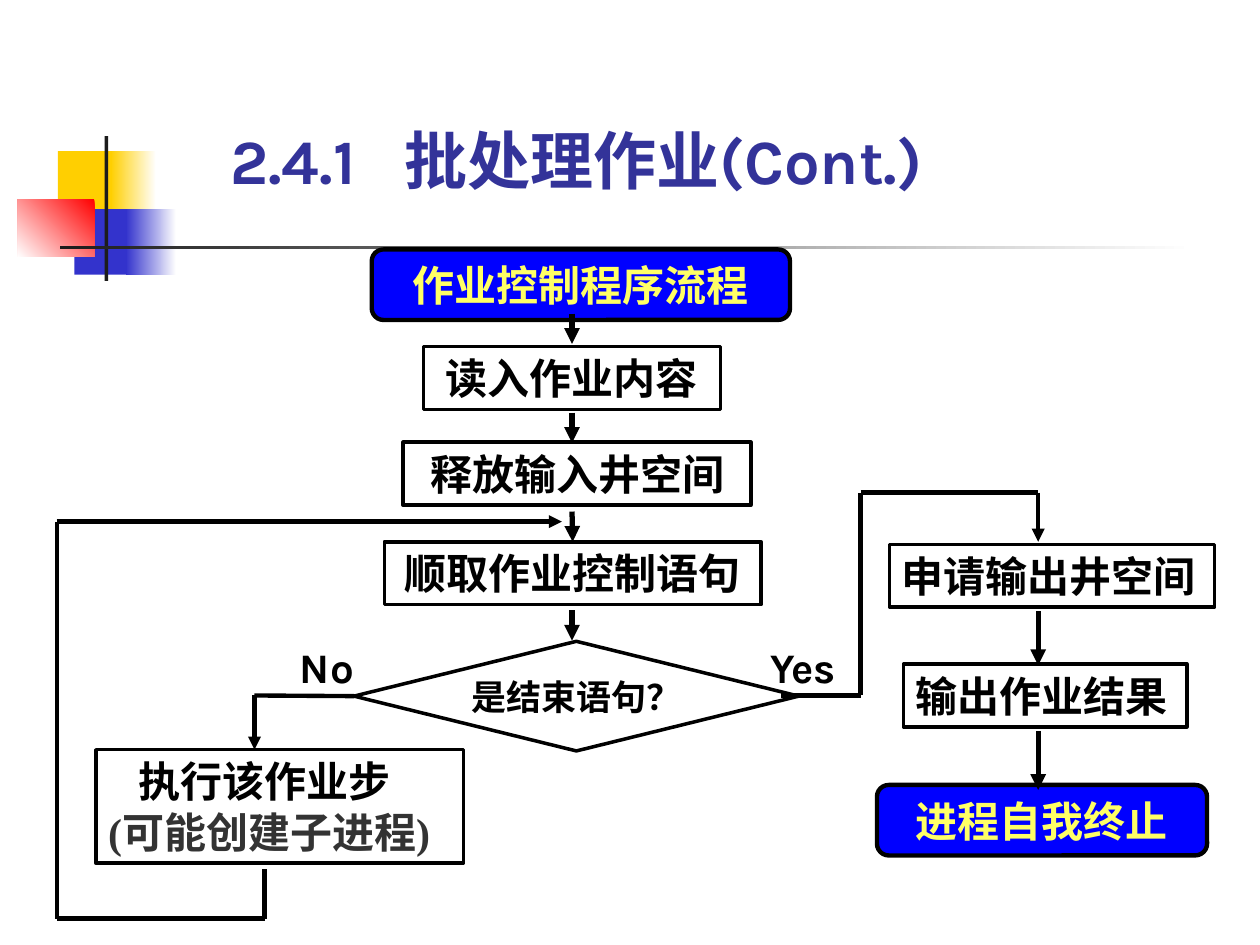
from itertools import pairwise

from pptx import Presentation
from pptx.dml.color import RGBColor
from pptx.enum import shapes, text
from pptx.oxml.ns import qn
from pptx.util import Inches, Pt

BLACK = RGBColor(0, 0, 0)
WHITE = RGBColor(0xFF, 0xFF, 0xFF)
INK = RGBColor(0x1C, 0x1C, 0x1C)
GREY = RGBColor(0x33, 0x33, 0x33)
GOLD = RGBColor(0xFF, 0xCF, 0x01)
RED = RGBColor(0xFF, 0, 0)
INDIGO = RGBColor(0x33, 0x33, 0xCC)
NAVY = RGBColor(0x33, 0x33, 0x99)
BLUE = RGBColor(0, 0, 0xFF)
YELLOW = RGBColor(0xFF, 0xFF, 0x66)
KARLA, TIMES = "Karla", "Times New Roman"
SHAPE = shapes.MSO_SHAPE
LEFT, CENTER = text.PP_ALIGN.LEFT, text.PP_ALIGN.CENTER
TOP, MIDDLE = text.MSO_ANCHOR.TOP, text.MSO_ANCHOR.MIDDLE
GROW = text.MSO_AUTO_SIZE.SHAPE_TO_FIT_TEXT


def set_attrs(obj, **values):
    for name, value in values.items():
        setattr(obj, name, value)


def write(p, words, align=CENTER, font=KARLA, size=24, color=BLACK):
    p.alignment = align
    r = p.add_run()
    r.text = words
    set_attrs(r.font, name=font, size=Pt(size), bold=True)
    r.font.color.rgb = color


def set_frame(tf, anchor=TOP, side=0.1, edge=0.05, auto_size=GROW):
    set_attrs(tf, word_wrap=True, auto_size=auto_size, vertical_anchor=anchor,
              margin_left=Inches(side), margin_right=Inches(side),
              margin_top=Inches(edge), margin_bottom=Inches(edge))
    return tf


def add_node(s, kind, box, words="", fill=None, line=2, anchor=TOP, side=0.1, **style):
    """Outlined flowchart node with one line of text."""
    sp = s.shapes.add_shape(kind, *map(Inches, box))
    sp.shadow.inherit = False
    if fill is None:
        sp.fill.background()
    else:
        sp.fill.solid()
        sp.fill.fore_color.rgb = fill
    sp.line.color.rgb = BLACK
    sp.line.width = Pt(line)
    tf = set_frame(sp.text_frame, anchor, side)
    if words:
        write(tf.paragraphs[0], words, **style)
    return sp


def add_terminal(s, box, words):
    return add_node(s, SHAPE.ROUNDED_RECTANGLE, box, words, BLUE, 2.5, MIDDLE, color=YELLOW)


def add_label(s, box, words):
    tb = s.shapes.add_textbox(*map(Inches, box))
    write(set_frame(tb.text_frame, side=0, edge=0).paragraphs[0], words)


def add_path(s, points, width=2.5, arrow=True):
    """Straight connectors through the points, with an arrowhead on the last."""
    parts = []
    for start, end in pairwise(points):
        c = s.shapes.add_connector(shapes.MSO_CONNECTOR.STRAIGHT,
                                   *map(Inches, (*start, *end)))
        c.line.color.rgb = BLACK
        c.line.width = Pt(width)
        sppr = c._element.spPr
        sppr.append(sppr.makeelement(qn("a:effectLst"), {}))
        parts.append(c)
    if arrow:
        ln = parts[-1].line._get_or_add_ln()
        ln.append(ln.makeelement(qn("a:tailEnd"), {"type": "triangle"}))
    return parts


def draw_ornament(s, x, y):
    blocks = [  # left, top, width, height, colours, gradient angle
        (0.32, 0.12, 0.48, 0.52, [GOLD], 0),
        (0.74, 0.12, 0.36, 0.52, [WHITE, GOLD], 180),
        (0.45, 0.58, 0.46, 0.52, [INDIGO], 0),
        (0.86, 0.58, 0.4, 0.52, [WHITE, INDIGO], 180),
        (0, 0.5, 0.61, 0.46, [RED, WHITE], 225),
        (0.69, 0, 0.03, 1.15, [INK], 0),
        (0.34, 0.87, 9, 0.03, [WHITE, INK], 180),
    ]
    for dx, dy, w, h, colors, angle in blocks:
        sp = s.shapes.add_shape(SHAPE.RECTANGLE, *map(Inches, (x + dx, y + dy, w, h)))
        sp.shadow.inherit = False
        sp.line.fill.background()
        if len(colors) == 1:
            sp.fill.solid()
            sp.fill.fore_color.rgb = colors[0]
        else:
            sp.fill.gradient()
            sp.fill.gradient_angle = angle
            for stop, color in zip(sp.fill.gradient_stops, colors):
                stop.color.rgb = color


def draw_title(s, x, y, w, h):
    tb = s.shapes.add_textbox(*map(Inches, (x, y, w, h)))
    tf = set_frame(tb.text_frame, text.MSO_ANCHOR.BOTTOM, auto_size=text.MSO_AUTO_SIZE.NONE)
    p = tf.paragraphs[0]
    ppr = p._p.get_or_add_pPr()
    tabs = ppr.makeelement(qn("a:tabLst"), {})
    tabs.append(tabs.makeelement(qn("a:tab"), {"pos": str(Inches(1.38)), "algn": "l"}))
    ppr.append(tabs)
    write(p, "2.4.1\t批处理作业(Cont.)", LEFT, size=36, color=NAVY)


def draw_main_column(s, x, y):
    """Start, three steps and the decision; returns the decision."""
    add_terminal(s, (x + 0.14, y, 3.32, 0.56), "作业控制程序流程")
    steps = [(0.55, 0.77, 2.36, "读入作业内容"),
             (0.39, 1.53, 2.76, "释放输入井空间"),
             (0.24, 2.32, 2.99, "顺取作业控制语句")]
    for dx, dy, w, words in steps:
        fetch = add_node(s, SHAPE.RECTANGLE, (x + dx, y + dy, w, 0.5), words)
    decision = add_node(s, SHAPE.DIAMOND, (x, y + 3.11, 3.53, 0.87), "是结束语句？",
                        anchor=MIDDLE, side=0, size=20)
    arrows = []
    for i in range(4):
        top = y + 0.51 + 0.785 * i
        arrows += add_path(s, [(x + 1.73, top), (x + 1.73, top + 0.24)], 3)
    arrows[2].end_connect(fetch, 0)
    return decision


def draw_no_branch(s, x, y, decision):
    """Job step below the No exit, looping back to the main column."""
    sp = add_node(s, SHAPE.RECTANGLE, (x + 0.31, y + 1.81, 2.92, 0.9))
    tf = sp.text_frame
    write(tf.paragraphs[0], "执行该作业步", LEFT, TIMES)
    tf.paragraphs[0]._p.get_or_add_pPr().set("indent", str(Inches(0.24)))
    write(tf.add_paragraph(), "(可能创建子进程)", LEFT, TIMES, color=GREY)
    exit_line = add_path(s, [(x + 2.34, y + 1.38), (x + 1.57, y + 1.38),
                             (x + 1.57, y + 1.81)])[0]
    exit_line.begin_connect(decision, 1)
    add_label(s, (x + 1.71, y + 0.95, 0.87, 0.4), "No")
    add_path(s, [(x + 1.65, y + 2.76), (x + 1.65, y + 3.15)], 3, arrow=False)
    add_path(s, [(x + 1.65, y + 3.15), (x, y + 3.15), (x, y), (x + 4.01, y)])


def draw_yes_branch(s, x, y):
    """Output steps and the end, reached from the Yes exit."""
    for dx, dy, w, words in [(1.12, 0.41, 2.58, "申请输出井空间"),
                             (1.23, 1.36, 2.25, "输出作业结果")]:
        add_node(s, SHAPE.RECTANGLE, (x + dx, y + dy, w, 0.5), words, align=LEFT, font=TIMES)
    add_terminal(s, (x + 1.02, y + 2.32, 2.62, 0.56), "进程自我终止")
    middle = x + 2.3
    add_path(s, [(x + 0.26, y + 1.61), (x + 0.89, y + 1.61), (x + 0.89, y),
                 (middle, y), (middle, y + 0.39)])
    for top, bottom in [(0.94, 1.37), (1.89, 2.36)]:
        add_path(s, [(middle, y + top), (middle, y + bottom)], 3)
    add_label(s, (x, y + 1.18, 0.87, 0.4), "Yes")


def main():
    prs = Presentation()
    set_attrs(prs, slide_width=Inches(10), slide_height=Inches(7.5))
    s = prs.slides.add_slide(prs.slide_layouts[6])
    draw_ornament(s, 0.14, 1.08)
    decision = draw_main_column(s, 2.81, 1.98)
    draw_no_branch(s, 0.45, 4.14, decision)
    draw_yes_branch(s, 5.94, 3.91)
    draw_title(s, 1.73, 0.84, 6.26, 0.77)
    prs.save("out.pptx")


if __name__ == "__main__":
    main()
